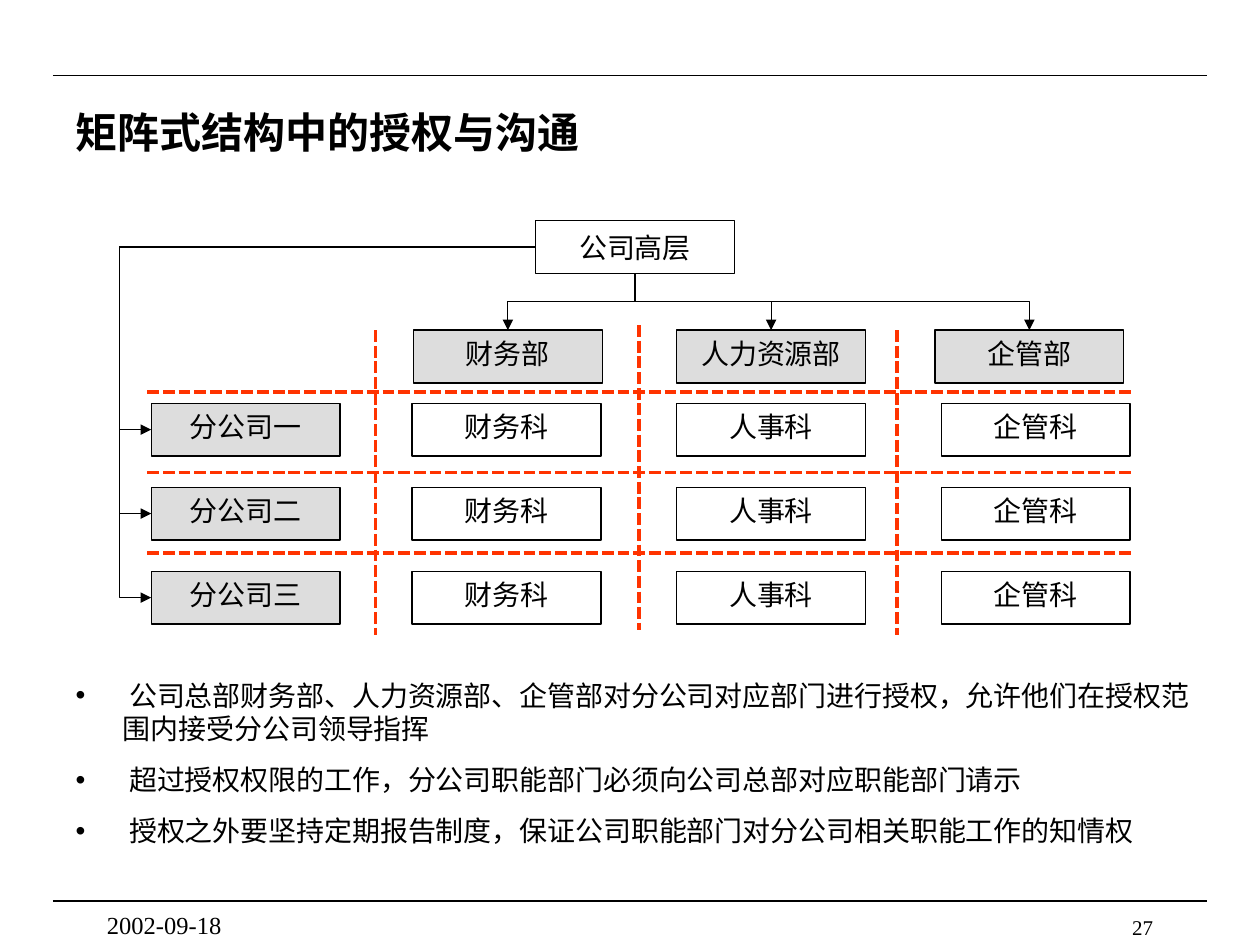
import pptx
import pptx.util
import pptx.dml.color
import pptx.enum.dml
import pptx.enum.shapes
import pptx.enum.text
import pptx.oxml.ns
import lxml.etree

HUES = {"ink": "000000", "plain": "FFFFFF", "head": "DDDDDD", "dots": "FF3300"}
ALIGN = pptx.enum.text.PP_ALIGN
ANCHOR = pptx.enum.text.MSO_ANCHOR
LINK = pptx.enum.shapes.MSO_CONNECTOR
INCH = pptx.util.Inches
TIMES = "Times New Roman"
BOX_W, BOX_H = 1.5, 0.42
CELL_X, CELL_Y = 3.27, 3.2
STEP_X, STEP_Y = 2.1, 2 / 3
UNITS = ["分公司一", "分公司二", "分公司三"]
HEADS = [(3.28, "财务部"), (5.37, "人力资源部"), (7.42, "企管部")]
CELLS = ["财务科", "人事科", "企管科"]
POINTS = [
    " 公司总部财务部、人力资源部、企管部对分公司对应部门进行授权，允许他们在授权范围内接受分公司领导指挥",
    " 超过授权权限的工作，分公司职能部门必须向公司总部对应职能部门请示",
    " 授权之外要坚持定期报告制度，保证公司职能部门对分公司相关职能工作的知情权",
]


def hue(key):
    """Return the named colour."""
    return pptx.dml.color.RGBColor.from_string(HUES[key])


def put(thing, form):
    """Set each format value on a thing."""
    for key, value in form.items():
        setattr(thing, key, value)


def add_node(parent, tag, **marks):
    """Add an XML child with the given marks."""
    return lxml.etree.SubElement(parent, pptx.oxml.ns.qn(tag), marks)


def style(para, size, align=ALIGN.LEFT, name=TIMES, bold=False):
    """Format the text of a paragraph."""
    para.alignment = align
    put(para.font, {"size": pptx.util.Pt(size), "name": name, "bold": bold})
    para.font.color.rgb = hue("ink")


def place(shape, left, top, width, height):
    """Move and size a shape in inches."""
    put(shape, {"left": INCH(left), "top": INCH(top),
                "width": INCH(width), "height": INCH(height)})


def add_box(slide, text, left, top, fill="plain", width=BOX_W, anchor=ANCHOR.TOP):
    """Draw a framed box with centred text."""
    kind = pptx.enum.shapes.MSO_SHAPE.RECTANGLE
    box = slide.shapes.add_shape(kind, *map(INCH, (left, top, width, BOX_H)))
    box.shadow.inherit = False
    box.fill.solid()
    box.fill.fore_color.rgb = hue(fill)
    box.line.color.rgb = hue("ink")
    box.line.width = pptx.util.Pt(0.75)
    put(box.text_frame, {"text": text, "word_wrap": True, "vertical_anchor": anchor})
    style(box.text_frame.paragraphs[0], 16, ALIGN.CENTER)


def add_line(slide, start, end, color="ink", width=0.75, kind=LINK.STRAIGHT):
    """Draw a line between two points."""
    line = slide.shapes.add_connector(kind, *map(INCH, (*start, *end)))
    line.line.color.rgb = hue(color)
    line.line.width = pptx.util.Pt(width)
    add_node(line._element.spPr, "a:effectLst")
    return line


def add_dots(slide, start, end):
    """Draw a dotted divider."""
    line = add_line(slide, start, end, "dots", 2.25)
    line.line.dash_style = pptx.enum.dml.MSO_LINE.SQUARE_DOT


def add_bend(slide, start, end, bend=0.5):
    """Draw an elbow arrow that bends at a share of its width."""
    line = add_line(slide, start, end, kind=LINK.ELBOW)
    add_node(line.line._get_or_add_ln(), "a:tailEnd", type="triangle")
    geom = line._element.spPr.find(pptx.oxml.ns.qn("a:prstGeom"))
    slots = geom.find(pptx.oxml.ns.qn("a:avLst"))
    if slots is None:
        slots = add_node(geom, "a:avLst")
    add_node(slots, "a:gd", name="adj1", fmla=f"val {round(bend * 100000)}")
    return line


def add_drop(slide, start, end):
    """Draw an elbow arrow that leaves downward."""
    mid_x, mid_y = (start[0] + end[0]) / 2, (start[1] + end[1]) / 2
    half_w, half_h = (end[1] - start[1]) / 2, abs(end[0] - start[0]) / 2
    line = add_bend(slide, (mid_x - half_w, mid_y - half_h),
                    (mid_x + half_w, mid_y + half_h))
    frame = line._element.spPr.find(pptx.oxml.ns.qn("a:xfrm"))
    right = end[0] > start[0]
    frame.set("rot", str((270 if right else 90) * 60000))
    if right:
        frame.set("flipH", "1")


def add_note(slide, text, size, align, *spot):
    """Add a small footer text."""
    note = slide.shapes.add_textbox(*map(INCH, spot))
    put(note.text_frame, {"text": text, "word_wrap": True})
    style(note.text_frame.paragraphs[0], size, align)


def fill_title(slide, text):
    """Fill the title placeholder."""
    title = slide.shapes.title
    place(title, 0.5, 0.67, 9.17, 0.75)
    put(title.text_frame, {"text": text, "vertical_anchor": ANCHOR.MIDDLE})
    style(title.text_frame.paragraphs[0], 24, bold=True)


def fill_list(slide, points):
    """Fill the body placeholder with bullets."""
    body = slide.placeholders[1]
    place(body, 0.5, 5.33, 9.09, 1.45)
    put(body.text_frame, {"text": "\n".join(points), "word_wrap": True,
                          "vertical_anchor": ANCHOR.MIDDLE,
                          "auto_size": pptx.enum.text.MSO_AUTO_SIZE.NONE})
    for rank, para in enumerate(body.text_frame.paragraphs):
        props = para._p.get_or_add_pPr()
        put(props, {"marL": INCH(0.24), "indent": INCH(-0.24)})
        add_node(props, "a:buChar", char="•")
        para.space_before = pptx.util.Pt(10 if rank else 0)
        style(para, 16, name="Noto Sans CJK SC")


def add_chart(slide):
    """Draw the matrix of units and departments."""
    add_box(slide, "公司高层", 4.25, 1.75, width=1.58, anchor=ANCHOR.MIDDLE)
    for left, text in HEADS:
        add_box(slide, text, left, 2.62, "head")
        add_drop(slide, (5.04, 2.17), (left + BOX_W / 2, 2.62))
    for row, unit in enumerate(UNITS):
        top = CELL_Y + row * STEP_Y
        add_box(slide, unit, 1.2, top, "head")
        add_bend(slide, (4.25, 1.96), (1.2, top + BOX_H / 2), 1.082)
        for col, text in enumerate(CELLS):
            add_box(slide, text, CELL_X + col * STEP_X, top)
        level = 3.11 + row * 0.64
        add_dots(slide, (1.17, level), (9, level))
    for left, top in ((2.98, 2.62), (5.07, 2.58), (7.12, 2.62)):
        add_dots(slide, (left, top), (left, top + 2.42))


def main():
    """Build and save the slide."""
    deck = pptx.Presentation()
    put(deck, {"slide_width": INCH(10), "slide_height": INCH(7.5)})
    slide = deck.slides.add_slide(deck.slide_layouts[1])
    for level in (0.6, 7.15):
        add_line(slide, (0.42, level), (9.58, level))
    fill_title(slide, "矩阵式结构中的授权与沟通")
    fill_list(slide, POINTS)
    add_chart(slide)
    add_note(slide, "27", 12, ALIGN.RIGHT, 7.17, 7.21, 2.08, 0.17)
    add_note(slide, "2002-09-18", 14, ALIGN.LEFT, 0.75, 7.17, 2.08, 0.25)
    deck.save("out.pptx")


if __name__ == "__main__":
    main()
